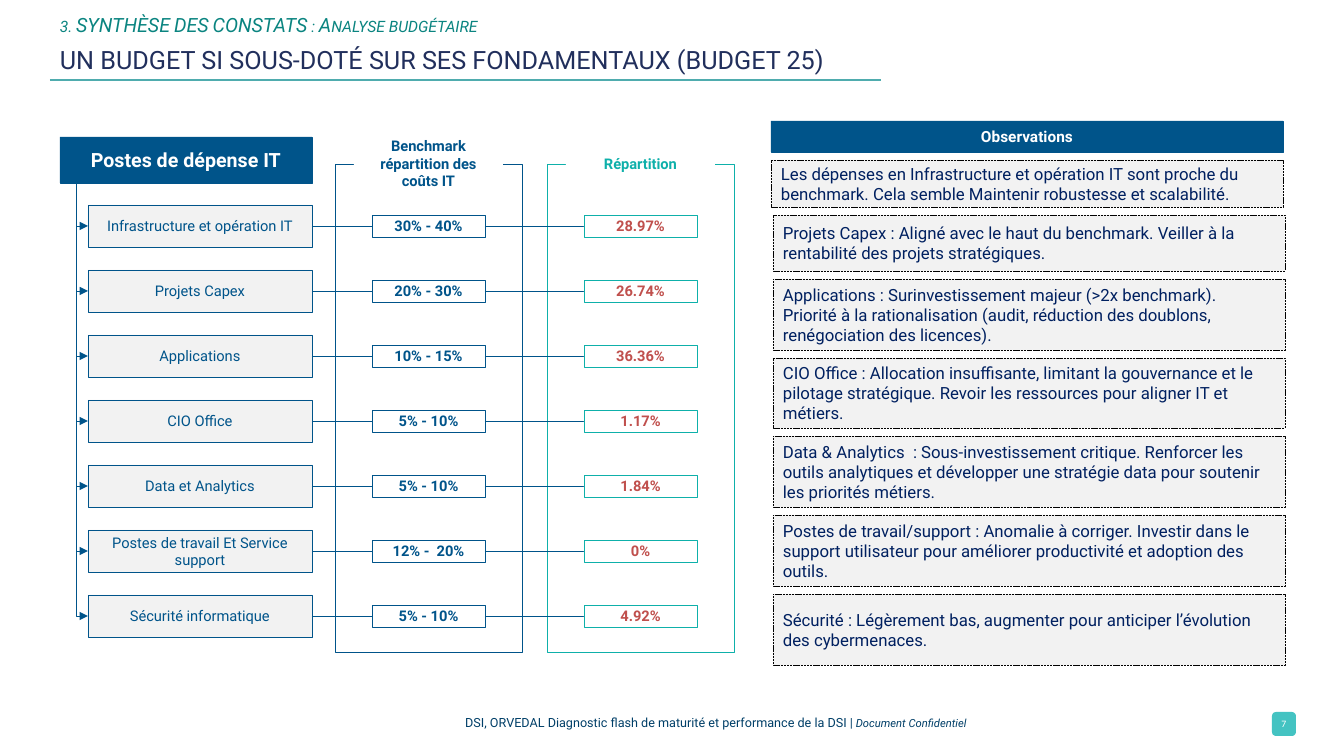
from lxml import etree
from pptx import Presentation, util as u
from pptx.dml.color import RGBColor
from pptx.enum import dml, shapes, text
from pptx.oxml.ns import qn

BLUE = RGBColor(0x00, 0x54, 0x8A)
TEAL = RGBColor(0x0E, 0xB0, 0xAA)
RULE = RGBColor(0x4F, 0xAC, 0xAE)
MINT = RGBColor(0x44, 0xC3, 0xC2)
GREEN = RGBColor(0x0A, 0x84, 0x80)
INK = RGBColor(0x21, 0x2F, 0x5C)
NAVY = RGBColor(0x00, 0x20, 0x60)
DEEP = RGBColor(0x00, 0x3F, 0x68)
RED = RGBColor(0xC0, 0x50, 0x4D)
GREY = RGBColor(0xF2, 0xF2, 0xF2)
WHITE = RGBColor(0xFF, 0xFF, 0xFF)
BLACK = RGBColor(0x00, 0x00, 0x00)

ROWS = [
    ("Infrastructure et opération IT", "30% - 40%", "28.97%"),
    ("Projets Capex", "20% - 30%", "26.74%"),
    ("Applications", "10% - 15%", "36.36%"),
    ("CIO Office", "5% - 10%", "1.17%"),
    ("Data et Analytics", "5% - 10%", "1.84%"),
    ("Postes de travail Et Service support", "12% -  20%", "0%"),
    ("Sécurité informatique", "5% - 10%", "4.92%"),
]
HEADS = [
    (335, "Benchmark répartition des coûts IT", BLUE, BLUE),
    (547, "Répartition", TEAL, RED),
]
NOTES = [
    (47, "Les dépenses en Infrastructure et opération IT sont proche du benchmark. Cela semble Maintenir robustesse et scalabilité."),
    (56, "Projets Capex : Aligné avec le haut du benchmark. Veiller à la rentabilité des projets stratégiques."),
    (71, "Applications : Surinvestissement majeur (>2x benchmark). Priorité à la rationalisation (audit, réduction des doublons, renégociation des licences)."),
    (70, "CIO Office : Allocation insuffisante, limitant la gouvernance et le pilotage stratégique. Revoir les ressources pour aligner IT et métiers."),
    (71, "Data & Analytics  : Sous-investissement critique. Renforcer les outils analytiques et développer une stratégie data pour soutenir les priorités métiers."),
    (71, "Postes de travail/support : Anomalie à corriger. Investir dans le support utilisateur pour améliorer productivité et adoption des outils."),
    (71, "Sécurité : Légèrement bas, augmenter pour anticiper l’évolution des cybermenaces."),
]
FOOT = [
    ("DSI, ORVEDAL Diagnostic flash de maturité et performance de la DSI | ", dict(size=u.Pt(9))),
    ("Document Confidentiel", dict(size=u.Pt(8), italic=True)),
]

LEFT, MID = text.PP_ALIGN.LEFT, text.PP_ALIGN.CENTER
TOP, PITCH = 226, 65
GAP = 8


def px(n):
    return round(n * 914400 / 100.8)


def font(size, **more):
    return dict(size=u.Pt(size), **more)


def write(shape, runs, color, align=MID, **form):
    frame = shape.text_frame
    look = dict(word_wrap=True, vertical_anchor=text.MSO_ANCHOR.MIDDLE) | form
    for key, val in look.items():
        setattr(frame, key, val)
    para = frame.paragraphs[0]
    para.alignment = align
    for words, style in runs:
        run = para.add_run()
        run.text = words
        for key, val in (dict(name="Roboto") | style).items():
            setattr(run.font, key, val)
        run.font.color.rgb = color
    return para


def box(x, y, w, h, fill=None, edge=None, kind=shapes.MSO_SHAPE.RECTANGLE):
    shape = page.shapes.add_shape(kind, px(x), px(y), px(w), px(h))
    shape.shadow.inherit = False
    for part, color in ((shape.fill, fill), (shape.line.fill, edge)):
        if color is None:
            part.background()
        else:
            part.solid()
            part.fore_color.rgb = color
    if edge is not None:
        shape.line.width = u.Pt(0.5)
    return shape


def label(x, y, w, h, runs, color, align=LEFT, **form):
    area = page.shapes.add_textbox(px(x), px(y), px(w), px(h))
    return write(area, runs, color, align, **form)


def link(x1, y1, x2, y2, color=BLUE, width=0.5):
    line = page.shapes.add_connector(
        shapes.MSO_CONNECTOR.STRAIGHT, px(x1), px(y1), px(x2), px(y2))
    line.line.color.rgb = color
    line.line.width = u.Pt(width)
    etree.SubElement(line._element.spPr, qn("a:effectLst"))
    return line


def branch(x1, y1, x2, y2):
    run, rise = y2 - y1, x2 - x1
    cx, cy = (x1 + x2) / 2, (y1 + y2) / 2
    line = link(cx + run / 2, cy - rise / 2, cx - run / 2, cy + rise / 2)
    prop = line._element.spPr
    prop.find(qn("a:xfrm")).set("rot", "16200000")
    prop.find(qn("a:prstGeom")).set("prst", "bentConnector2")
    etree.SubElement(prop.find(qn("a:ln")), qn("a:tailEnd")).set("type", "triangle")


deck = Presentation()
deck.slide_width, deck.slide_height = px(1344), px(756)
page = deck.slides.add_slide(deck.slide_layouts[6])

link(50, 80, 881, 80, RULE, 2)
lead = label(50, 5, 703, 32,
             [("3. SYNTHÈSE DES CONSTATS : Analyse budgétaire", font(14, italic=True))],
             GREEN, vertical_anchor=text.MSO_ANCHOR.TOP)
lead.line_spacing = u.Pt(19.2)
lead.runs[0].font._element.set("cap", "small")
title = label(50, 33, 1246, 47,
              [("UN BUDGET SI SOUS-DOTÉ SUR SES FONDAMENTAUX (BUDGET 25)", font(18))], INK)
title.line_spacing = u.Pt(26)
label(353, 699, 726, 47, FOOT, DEEP, MID)
badge = box(1272, 712, 24, 24, MINT, kind=shapes.MSO_SHAPE.ROUNDED_RECTANGLE)
sides = ("left", "top", "right", "bottom")
write(badge, [("7", font(7, name="Calibri"))], WHITE,
      **{"margin_" + side: px(4) for side in sides})

bold = font(10.5, bold=True)
for x, head, edge, _ in HEADS:
    box(x, 164, 187, 488, edge=edge)
    write(box(x + 19, 137, 149, 53, WHITE), [(head, bold)], edge)

for i, (name, *shares) in enumerate(ROWS):
    y = TOP + i * PITCH
    write(box(88, y - 21, 224, 42, GREY, BLUE), [(name, font(10.5))], BLUE)
    branch(76, 168, 88, y)
    start = 312
    for (x, _, edge, ink), share in zip(HEADS, shares):
        link(start, y, x + 37, y)
        write(box(x + 37, y - 11, 113, 22, WHITE, edge), [(share, bold)], ink)
        start = x + 150

write(box(60, 137, 252, 46, BLUE, BLUE),
      [("Postes de dépense IT", font(14, bold=True))], WHITE)
write(box(771, 121, 512, 31, BLUE, BLUE),
      [("Observations", font(11, bold=True))], WHITE)
y = 160
for i, (high, note) in enumerate(NOTES):
    card = box(773 if i else 771, y, 512, high, GREY, BLACK)
    card.line.dash_style = dml.MSO_LINE.SQUARE_DOT
    card.line._ln.find(qn("a:prstDash")).set("val", "sysDash")
    write(card, [(note, font(12))], NAVY, LEFT)
    y += high + GAP

deck.save("out.pptx")
